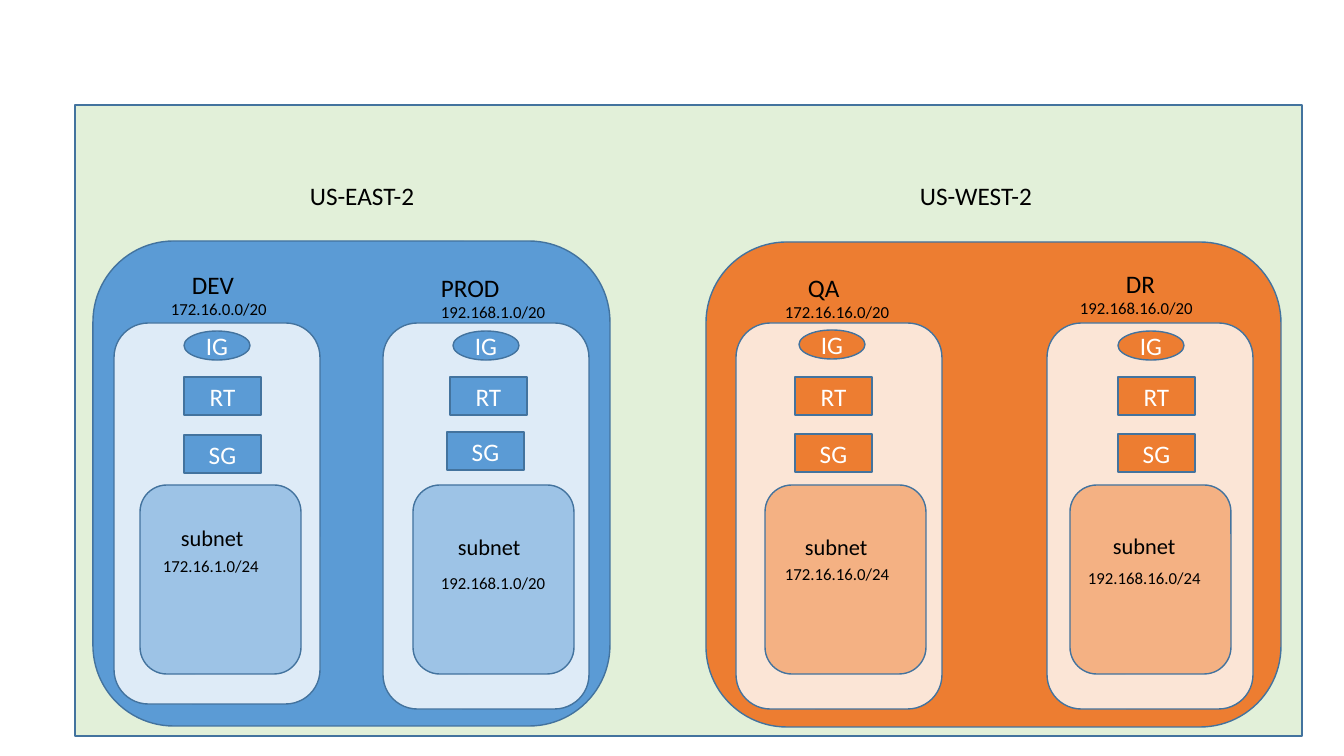
from dataclasses import dataclass
from typing import NamedTuple

from pptx import Presentation
from pptx.dml.color import RGBColor
from pptx.enum.shapes import MSO_SHAPE
from pptx.enum.text import MSO_ANCHOR, PP_ALIGN
from pptx.util import Pt

SCALE = 914400 / 100.8


def emu(px: int) -> int:
    """Turn pixels into EMU."""
    return round(px * SCALE)


class Box(NamedTuple):
    """A place on the slide, in pixels."""
    left: int
    top: int
    width: int
    height: int


class Line(NamedTuple):
    """One paragraph of a label, with its indent in pixels."""
    text: str
    size: int
    indent: int = 0


class Tint(NamedTuple):
    """The three shades of a region."""
    main: str
    card: str
    net: str


@dataclass(frozen=True)
class Theme:
    """Colours and type sizes of the slide."""
    font: str = "Calibri"
    ink: str = "000000"
    light: str = "FFFFFF"
    edge: str = "43739E"
    cloud: str = "E2F0D9"
    blue: Tint = Tint("5B9BD5", "DEEBF7", "9DC3E6")
    orange: Tint = Tint("ED7D31", "FBE5D6", "F4B183")
    large: int = 18
    mid: int = 16
    small: int = 12


THEME = Theme()


@dataclass(frozen=True)
class Vpc:
    """A network card: its texts and the places of its parts."""
    name: str
    cidr: str
    subnet: str
    card: Box
    head: Box
    indents: tuple[int, int]
    gate: Box
    route: Box
    guard: Box
    net: Box
    title: Box
    range: Box


@dataclass(frozen=True)
class Region:
    """A cloud region with its label and networks."""
    name: str
    label: Box
    box: Box
    tint: Tint
    vpcs: tuple[Vpc, ...]


REGIONS = (
    Region("US-EAST-2", Box(300, 175, 152, 40), Box(93, 241, 517, 485), THEME.blue, (
        Vpc("DEV", "172.16.0.0/20", "172.16.1.0/24",
            Box(114, 323, 206, 381), Box(153, 264, 166, 61), (29, 8),
            Box(184, 331, 66, 29), Box(184, 377, 77, 38), Box(184, 435, 77, 38),
            Box(140, 485, 161, 189), Box(171, 519, 90, 37), Box(153, 551, 134, 30)),
        Vpc("PROD", "192.168.1.0/20", "192.168.1.0/20",
            Box(383, 323, 206, 386), Box(431, 267, 127, 61), (0, 0),
            Box(453, 331, 66, 29), Box(450, 377, 77, 38), Box(447, 432, 77, 38),
            Box(413, 485, 161, 189), Box(448, 528, 85, 37), Box(431, 568, 127, 30)),
    )),
    Region("US-WEST-2", Box(910, 175, 160, 40), Box(706, 242, 575, 485), THEME.orange, (
        Vpc("QA", "172.16.16.0/20", "172.16.16.0/24",
            Box(736, 323, 206, 386), Box(775, 267, 180, 61), (23, 0),
            Box(799, 330, 66, 29), Box(795, 377, 77, 38), Box(795, 434, 77, 38),
            Box(765, 485, 161, 189), Box(795, 528, 93, 37), Box(775, 559, 134, 30)),
        Vpc("DR", "192.168.16.0/20", "192.168.16.0/24",
            Box(1047, 323, 206, 386), Box(1070, 263, 137, 61), (46, 0),
            Box(1118, 331, 66, 29), Box(1118, 377, 77, 38), Box(1118, 434, 77, 38),
            Box(1070, 485, 161, 189), Box(1103, 527, 96, 37), Box(1078, 563, 138, 30)),
    )),
)


def write(para, text: str, size: int, color: str) -> None:
    """Add one styled run to a paragraph."""
    run = para.add_run()
    run.text = text
    run.font.name = THEME.font
    run.font.size = Pt(size)
    run.font.color.rgb = RGBColor.from_string(color)


def draw(slide, kind, box: Box, fill: str, text: str = "") -> None:
    """Draw an outlined shape, with centred text if given."""
    shape = slide.shapes.add_shape(kind, *map(emu, box))
    shape.shadow.inherit = False
    shape.fill.solid()
    shape.fill.fore_color.rgb = RGBColor.from_string(fill)
    shape.line.color.rgb = RGBColor.from_string(THEME.edge)
    shape.line.width = Pt(1)
    if text:
        frame = shape.text_frame
        frame.vertical_anchor = MSO_ANCHOR.MIDDLE
        frame.paragraphs[0].alignment = PP_ALIGN.CENTER
        write(frame.paragraphs[0], text, THEME.large, THEME.light)


def label(slide, box: Box, *lines: Line) -> None:
    """Add a text box with one paragraph per line."""
    frame = slide.shapes.add_textbox(*map(emu, box)).text_frame
    frame.word_wrap = True
    for i, line in enumerate(lines):
        para = frame.add_paragraph() if i else frame.paragraphs[0]
        if line.indent:
            para._p.get_or_add_pPr().set("marL", str(emu(line.indent)))
        write(para, line.text, line.size, THEME.ink)


def network(slide, vpc: Vpc, tint: Tint) -> None:
    """Draw one network card with its parts and labels."""
    draw(slide, MSO_SHAPE.ROUNDED_RECTANGLE, vpc.card, tint.card)
    draw(slide, MSO_SHAPE.ROUNDED_RECTANGLE, vpc.net, tint.net)
    label(slide, vpc.head, Line(vpc.name, THEME.large, vpc.indents[0]),
          Line(vpc.cidr, THEME.small, vpc.indents[1]))
    label(slide, vpc.range, Line(vpc.subnet, THEME.small))
    label(slide, vpc.title, Line("subnet", THEME.mid))
    draw(slide, MSO_SHAPE.RECTANGLE, vpc.guard, tint.main, "SG")
    draw(slide, MSO_SHAPE.RECTANGLE, vpc.route, tint.main, "RT")
    draw(slide, MSO_SHAPE.OVAL, vpc.gate, tint.main, "IG")


def build() -> None:
    """Build the slide and save it."""
    deck = Presentation()
    deck.slide_width, deck.slide_height = emu(1344), emu(756)
    slide = deck.slides.add_slide(deck.slide_layouts.get_by_name("Blank"))
    draw(slide, MSO_SHAPE.RECTANGLE, Box(75, 105, 1227, 631), THEME.cloud)
    for region in REGIONS:
        draw(slide, MSO_SHAPE.ROUNDED_RECTANGLE, region.box, region.tint.main)
        label(slide, region.label, Line(region.name, THEME.large))
        for vpc in region.vpcs:
            network(slide, vpc, region.tint)
    deck.save("out.pptx")


build()
